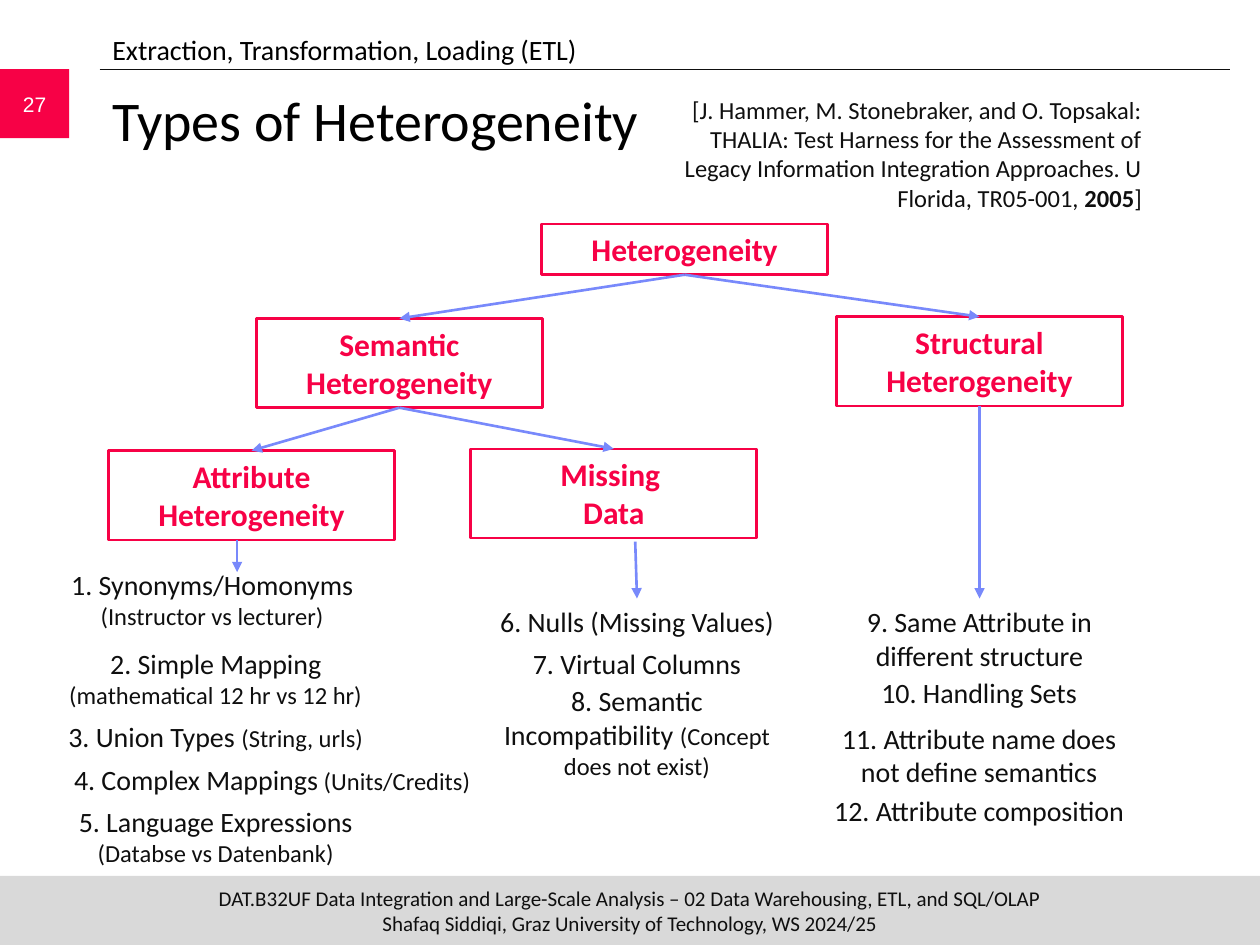
from typing import NamedTuple

from lxml.etree import SubElement as Sub
from pptx import Presentation
from pptx.dml.color import RGBColor
from pptx.enum.shapes import MSO_CONNECTOR as Conn, MSO_SHAPE as Kind
from pptx.enum.text import MSO_ANCHOR as Anchor, MSO_AUTO_SIZE as Auto, PP_ALIGN as Align
from pptx.oxml.ns import qn
from pptx.util import Pt

RED = RGBColor(0xF7, 0x01, 0x46)
BLUE = RGBColor(0x78, 0x89, 0xFB)
INK = RGBColor(0x0F, 0x0F, 0x0F)
BLACK = RGBColor(0, 0, 0)
GRAY = RGBColor(0xD9, 0xD9, 0xD9)
WHITE = RGBColor(0xFF, 0xFF, 0xFF)

WIDE, HIGH = 720, 540
BOX_W = 163.5
BIG, SMALL = 16, 14


class Run(NamedTuple):
    text: str
    size: float = BIG
    bold: bool = False


class Area(NamedTuple):
    x: float
    y: float
    w: float
    h: float


class Node(NamedTuple):
    name: str
    text: str
    x: float
    y: float
    h: float = 51


class Item(NamedTuple):
    area: Area
    text: str
    note: str = ""


NODES = [
    Node("root", "Heterogeneity", 309.5, 128, 29),
    Node("struct", "Structural Heterogeneity", 478, 181),
    Node("sem", "Semantic Heterogeneity", 146.5, 182),
    Node("attr", "Attribute Heterogeneity", 62, 257.5),
    Node("miss", "Missing \nData", 269, 256.5),
]
EDGES = [("root", "sem"), ("root", "struct"), ("sem", "miss"), ("sem", "attr")]

ITEMS = [
    # Attribute heterogeneity
    Item(Area(11, 321, 220.5, 44), "1. Synonyms/Homonyms ", "(Instructor vs lecturer)"),
    Item(Area(13, 366, 220.5, 44), "2. Simple Mapping ", "(mathematical 12 hr vs 12 hr)"),
    Item(Area(13, 407.5, 220.5, 26.5), "3. Union Types ", "(String, urls)"),
    Item(Area(13, 432, 285, 26.5), "4. Complex Mappings", " (Units/Credits)"),
    Item(Area(13, 456, 220.5, 44), "5. Language Expressions ", "(Databse vs Datenbank)"),
    # Missing data
    Item(Area(271, 342, 186, 26.5), "6. Nulls (Missing Values)"),
    Item(Area(271, 366, 186, 26.5), "7. Virtual Columns"),
    Item(Area(271, 387, 186, 65.5), "8. Semantic Incompatibility ", "(Concept does not exist)"),
    # Structural heterogeneity
    Item(Area(461.5, 342, 196.5, 46), "9. Same Attribute in different structure"),
    Item(Area(466.5, 382.5, 186, 26.5), "10. Handling Sets"),
    Item(Area(466.5, 408.5, 186, 46), "11. Attribute name does not define semantics"),
    Item(Area(466.5, 450, 186, 26.5), "12. Attribute composition"),
]


def write(shape, runs: list[Run], color=INK, align=Align.CENTER,
          anchor=Anchor.TOP, face="Calibri", inset=(7.2, 3.6)) -> None:
    """Fill the one paragraph of a shape with formatted runs."""
    frame = shape.text_frame
    side, edge = map(Pt, inset)
    look = dict(word_wrap=True, auto_size=Auto.NONE, vertical_anchor=anchor,
                margin_left=side, margin_right=side, margin_top=edge, margin_bottom=edge)
    for key, val in look.items():
        setattr(frame, key, val)
    para = frame.paragraphs[0]
    para.alignment, para.space_before = align, Pt(0)
    for run in runs:
        for i, line in enumerate(run.text.split("\n")):
            if i:
                para.add_line_break()
            part = para.add_run()
            part.text = line
            for key, val in dict(name=face, size=Pt(run.size), bold=run.bold).items():
                setattr(part.font, key, val)
            part.font.color.rgb = color


def add_rect(slide, area: Area, fill: RGBColor, line=None):
    shape = slide.shapes.add_shape(Kind.RECTANGLE, *map(Pt, area))
    shape.shadow.inherit = False
    shape.fill.solid()
    shape.fill.fore_color.rgb = fill
    if line is None:
        shape.line.fill.background()
    else:
        shape.line.color.rgb, shape.line.width = line, Pt(1.5)
    return shape


def add_text(slide, area: Area, runs: list[Run], **look) -> None:
    write(slide.shapes.add_textbox(*map(Pt, area)), runs, **look)


def add_line(slide, ends=(0, 0, 0, 0), color=BLUE, width=1.5, arrow=True):
    line = slide.shapes.add_connector(Conn.STRAIGHT, *map(Pt, ends))
    line.line.color.rgb, line.line.width = color, Pt(width)
    if arrow:
        Sub(line.line._get_or_add_ln(), qn("a:tailEnd"), type="triangle")
    Sub(line._element.spPr, qn("a:effectLst"))
    return line


def place(shape, area: Area) -> None:
    for key, val in zip(("left", "top", "width", "height"), area):
        setattr(shape, key, Pt(val))


def main() -> None:
    deck = Presentation()
    deck.slide_width, deck.slide_height = Pt(WIDE), Pt(HIGH)
    slide = deck.slides.add_slide(deck.slide_layouts[1])

    # Footer band, header rule and page number
    foot = add_rect(slide, Area(0, 500.5, WIDE, 39.5), GRAY)
    write(foot, [Run("DAT.B32UF Data Integration and Large-Scale Analysis – "
                     "02 Data Warehousing, ETL, and SQL/OLAP\n"
                     "Shafaq Siddiqi, Graz University of Technology, WS 2024/25", 12)],
          anchor=Anchor.MIDDLE, inset=(0, 0))
    add_line(slide, (57, 39.5, 703, 39.5), INK, 0.5, arrow=False)
    page = add_rect(slide, Area(0, 39.5, 39.5, 39.5), RED)
    write(page, [Run("27", 12)], WHITE, anchor=Anchor.MIDDLE, face="Arial")

    # Title and section name
    title, body = slide.placeholders
    place(title, Area(57, 45.5, 645, 60))
    write(title, [Run("Types of Heterogeneity", 32)], BLACK, Align.LEFT)
    place(body, Area(57, 15, 648, 26))
    props = body.text_frame.paragraphs[0]._p.get_or_add_pPr()
    props.set("marL", "0")
    props.set("indent", "0")
    Sub(props, qn("a:buNone"))
    write(body, [Run("Extraction, Transformation, Loading (ETL)")], BLACK, Align.LEFT)

    # Tree of boxes
    boxes = {}
    for node in NODES:
        box = add_rect(slide, Area(node.x, node.y, BOX_W, node.h), WHITE, RED)
        write(box, [Run(node.text, 18, True)], RED)
        boxes[node.name] = box
    for top, low in EDGES:
        line = add_line(slide)
        line.begin_connect(boxes[top], 2)
        line.end_connect(boxes[low], 0)

    # Lists below the leaves, with their arrows
    for item in ITEMS:
        runs = [Run(item.text)] + ([Run(item.note, SMALL)] if item.note else [])
        add_text(slide, item.area, runs)
    add_line(slide, (135.5, 308.5, 135.5, 327))
    add_line(slide, (363, 309.5, 364, 342))
    drop = add_line(slide, (559.75, 232, 559.75, 342))
    drop.begin_connect(boxes["struct"], 2)

    # Citation
    add_text(slide, Area(367, 50.5, 285.5, 75),
             [Run("[J. Hammer, M. Stonebraker, and O. Topsakal: THALIA: Test Harness for "
                  "the Assessment of Legacy Information Integration Approaches. "
                  "U Florida, TR05-001, ", SMALL),
              Run("2005", SMALL, True), Run("]", SMALL)],
             align=Align.RIGHT, inset=(0, 3.6))

    deck.save("out.pptx")


if __name__ == "__main__":
    main()
